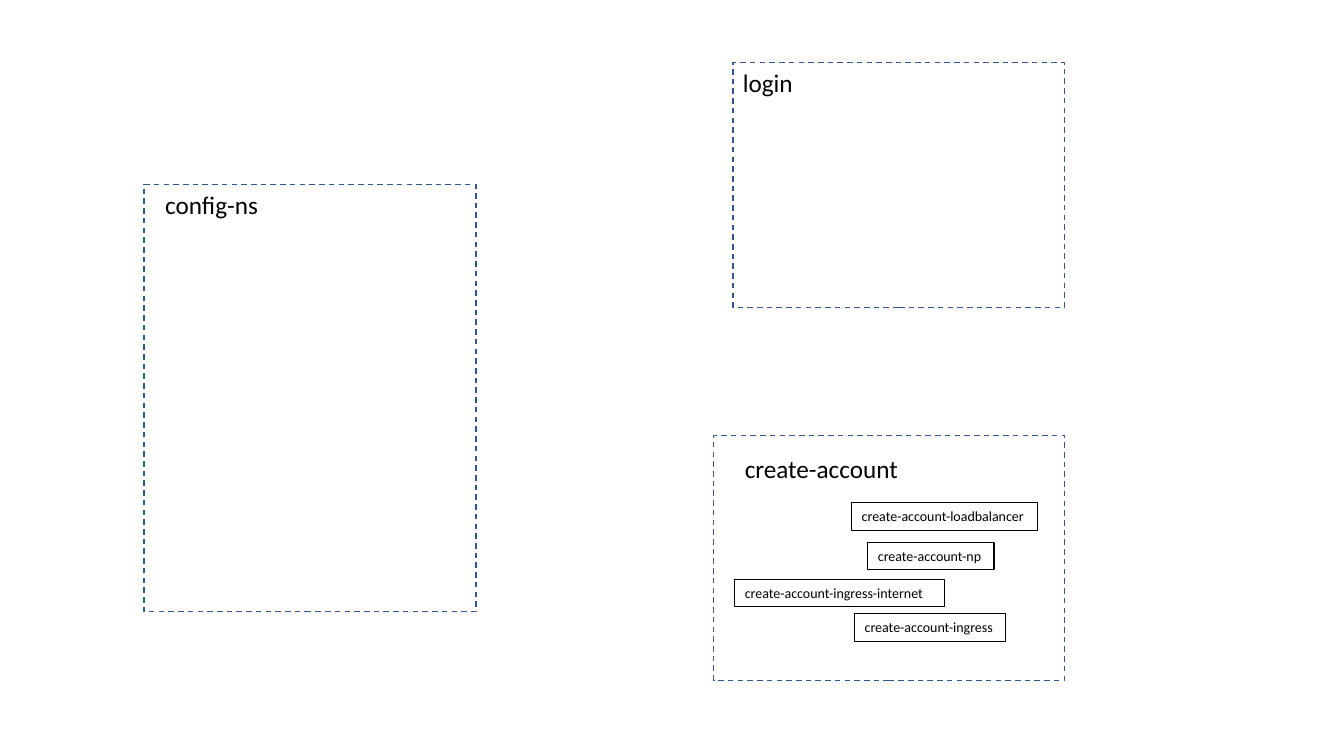
import pptx
import pptx.util
import pptx.dml.color
import pptx.enum.dml
import pptx.enum.shapes
import pptx.enum.text

presentation = pptx.Presentation()
presentation.slide_width = pptx.util.Inches(13.333)
presentation.slide_height = pptx.util.Inches(7.5)
slide = presentation.slides.add_slide(presentation.slide_layouts[6])

TITLE_HEIGHT = 5.33
SERVICE_HEIGHT = 3.6


def place(left, top, width, height):
    column = presentation.slide_width / 100
    row = presentation.slide_height / 100
    return [round(length) for length in (left * column, top * row, width * column, height * row)]


def add_text(text, position, size, wrap=False, border=None):
    box = slide.shapes.add_textbox(*place(*position))
    if border:
        box.line.color.rgb = pptx.dml.color.RGBColor.from_string(border)
        box.line.width = pptx.util.Pt(0.75)
    frame = box.text_frame
    frame.word_wrap = wrap
    frame.auto_size = pptx.enum.text.MSO_AUTO_SIZE.SHAPE_TO_FIT_TEXT
    run = frame.paragraphs[0].add_run()
    run.text = text
    run.font.name = "Calibri"
    run.font.size = pptx.util.Pt(size)
    run.font.color.rgb = pptx.dml.color.RGBColor.from_string("000000")


namespaces = [
    ("config-ns", (10.73, 24.4, 24.68, 56.53), (11.55, 24.4, 8.48)),
    ("login", (54.53, 8.27, 24.68, 32.4), (54.53, 8.27, 5.25)),
    ("create-account", (53.1, 57.6, 26.1, 32.4), (54.68, 59.33, 13.05)),
]
for name, area, title in namespaces:
    frame_shape = slide.shapes.add_shape(pptx.enum.shapes.MSO_SHAPE.RECTANGLE, *place(*area))
    frame_shape.shadow.inherit = False
    frame_shape.fill.background()
    frame_shape.line.color.rgb = pptx.dml.color.RGBColor.from_string("325491")
    frame_shape.line.width = pptx.util.Pt(1)
    frame_shape.line.dash_style = pptx.enum.dml.MSO_LINE.DASH
    add_text(name, (*title, TITLE_HEIGHT), 18)

services = [
    ("create-account-loadbalancer", 63.38, 66.53, 13.8, False),
    ("create-account-np", 64.58, 71.73, 9.38, False),
    ("create-account-ingress", 63.6, 81.2, 11.25, False),
    ("create-account-ingress-internet", 54.68, 76.67, 15.6, True),
]
for name, left, top, width, wrap in services:
    add_text(name, (left, top, width, SERVICE_HEIGHT), 10, wrap=wrap, border="000000")

presentation.save("out.pptx")
